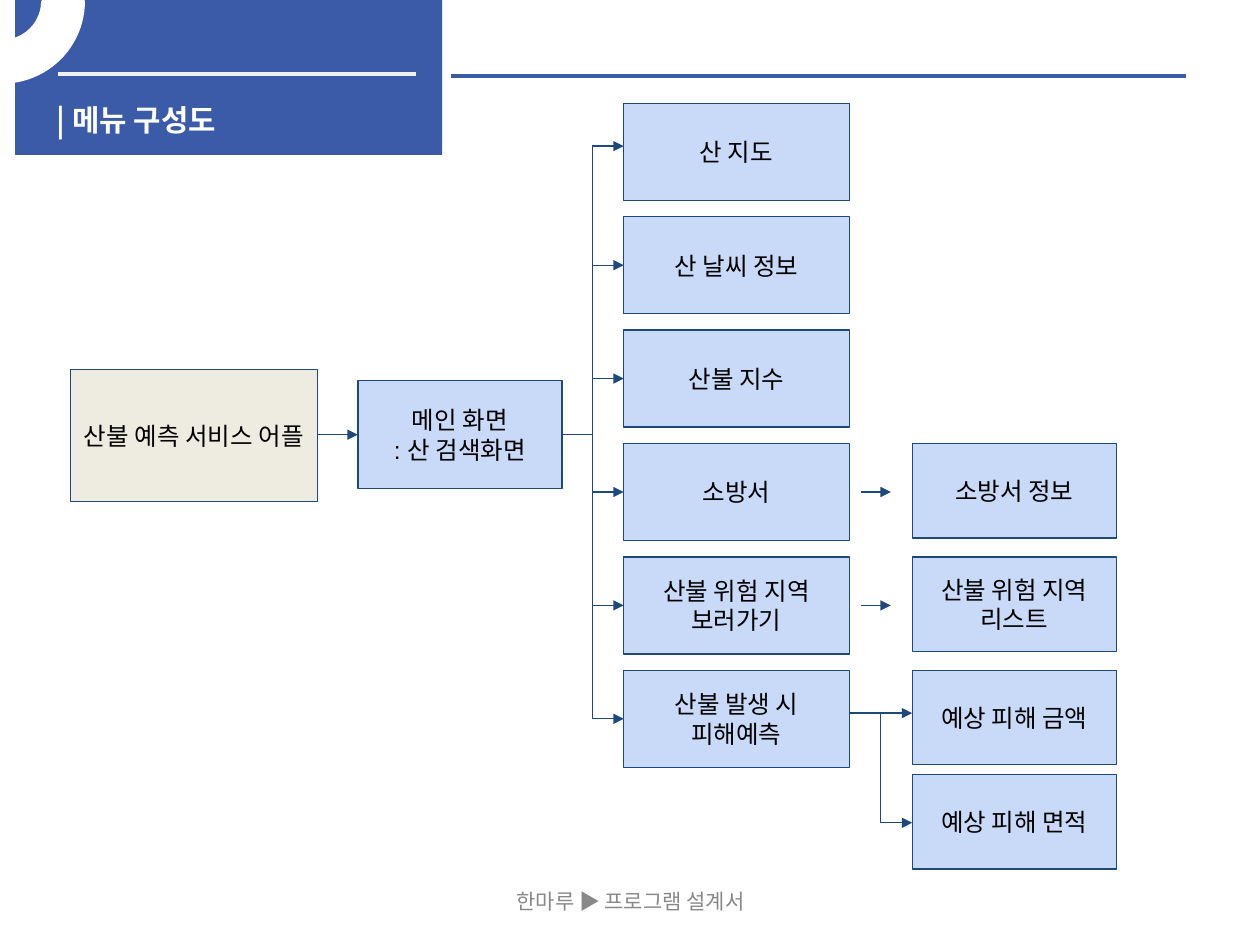
import pptx
import pptx.util
import pptx.dml.color
import pptx.enum.shapes
import pptx.enum.text
import pptx.oxml.ns
from lxml import etree

# Content
TITLE = "| 메뉴 구성도"
FOOTER = "한마루 ▶ 프로그램 설계서"
APP = ["산불 예측 서비스 어플"]
MAIN = ["메인 화면", ": 산 검색화면"]
MENUS = ["산 지도", "산 날씨 정보", "산불 지수", "소방서",
         "산불 위험 지역 보러가기", "산불 발생 시 피해예측"]
DETAILS = [("소방서 정보", 3), ("산불 위험 지역 리스트", 4),
           ("예상 피해 금액", 5), ("예상 피해 면적", 5.92)]

COLORS = {"brand": "3B5AA8", "rule": "F2F2F2", "white": "FFFFFF",
          "footer": "888888", "edge": "1F497D", "app": "EEECE1",
          "box": "C9DAF8", "text": "000000"}
LATIN, KOREAN = "Arial", "Noto Sans CJK KR"

# Grid in inches
WIDTH, HEIGHT = 10, 7.5
TOP, PITCH = 0.82, 0.9
MENU_X, MENU_W, MENU_H = 4.95, 1.79, 0.77
DETAIL_X, DETAIL_W, DETAIL_H = 7.24, 1.62, 0.75
AXIS_Y = 3.45
TRUNK_X, BRANCH_X = 4.7, 6.99

SHAPE = pptx.enum.shapes.MSO_SHAPE
ALIGN = pptx.enum.text.PP_ALIGN
ANCHOR = pptx.enum.text.MSO_ANCHOR
inch = pptx.util.Inches
qn = pptx.oxml.ns.qn

prs = pptx.Presentation()
prs.slide_width, prs.slide_height = inch(WIDTH), inch(HEIGHT)
s = prs.slides.add_slide(prs.slide_layouts[6])


def rgb(name):
    return pptx.dml.color.RGBColor.from_string(COLORS[name])


def write(sp, lines, size, color, font, align=ALIGN.CENTER,
          anchor=ANCHOR.MIDDLE, margin=0.1, bold=False):
    tf = sp.text_frame
    tf.word_wrap = True
    tf.vertical_anchor = anchor
    tf.margin_left = tf.margin_right = inch(0.1)
    tf.margin_top = tf.margin_bottom = inch(margin)
    tf.text = "\n".join(lines)
    for p in tf.paragraphs:
        p.alignment = align
        p.font.size = pptx.util.Pt(size)
        p.font.name = font
        p.font.bold = bold
        p.font.color.rgb = rgb(color)


def shape(kind, x, y, w, h, fill, edge=None, weight=0.75):
    sp = s.shapes.add_shape(kind, inch(x), inch(y), inch(w), inch(h))
    sp.shadow.inherit = False
    sp.fill.solid()
    sp.fill.fore_color.rgb = rgb(fill)
    if edge:
        sp.line.color.rgb = rgb(edge)
        sp.line.width = pptx.util.Pt(weight)
    else:
        sp.line.fill.background()
    return sp


def box(lines, x, y, w, h, fill="box"):
    write(shape(SHAPE.RECTANGLE, x, y, w, h, fill, "edge"),
          lines, 14, "text", LATIN)


def label(text, x, y, w, h, **style):
    sp = s.shapes.add_textbox(inch(x), inch(y), inch(w), inch(h))
    write(sp, [text], font=KOREAN, margin=0.05, **style)


def line(x1, y1, x2, y2, color="edge", weight=0.75, arrow=False):
    c = s.shapes.add_connector(pptx.enum.shapes.MSO_CONNECTOR.STRAIGHT,
                               inch(x1), inch(y1), inch(x2), inch(y2))
    c.line.color.rgb = rgb(color)
    c.line.width = pptx.util.Pt(weight)
    if arrow:
        etree.SubElement(c.line._get_or_add_ln(), qn("a:tailEnd"), type="triangle")
    etree.SubElement(c._element.spPr, qn("a:effectLst"))


def row_top(row):
    return TOP + row * PITCH


# Header and footer
shape(SHAPE.RECTANGLE, 0.12, 0, 3.39, 1.23, "brand")
line(0.46, 0.59, 3.3, 0.59, "rule", 2.25)
line(3.58, 0.6, 9.41, 0.6, "brand", 2.25)
label(TITLE, 0.35, 0.76, 3.07, 0.32, size=17, color="white", bold=True,
      align=ALIGN.LEFT, anchor=ANCHOR.TOP)
arc = shape(SHAPE.BLOCK_ARC, -0.63, -0.63, 1.29, 1.28, "white", "white", 2)
arc.rotation = 180
arc._element.spPr.find(qn("a:xfrm")).set("flipH", "1")
# Angles are counted in 60000ths of a degree, adjustments in 100000ths
arc.adjustments[0] = 161.59 * 0.6
arc.adjustments[1] = 0
arc.adjustments[2] = 0.25
label(FOOTER, 3.42, 6.95, 3.17, 0.4, size=12, color="footer")

# App and main screen
box(APP, 0.56, 2.93, 1.96, 1.05, "app")
box(MAIN, 2.84, 3.02, 1.62, 0.86)
line(2.52, AXIS_Y, 2.84, AXIS_Y, arrow=True)
line(4.46, AXIS_Y, TRUNK_X, AXIS_Y)

# Menus on the trunk
menu_mids = [row_top(row) + MENU_H / 2 for row in range(len(MENUS))]
menu_mids[0] = 1.16
for row, (text, mid) in enumerate(zip(MENUS, menu_mids)):
    box([text], MENU_X, row_top(row), MENU_W, MENU_H)
    line(TRUNK_X, mid, MENU_X, mid, arrow=True)
line(TRUNK_X, menu_mids[0], TRUNK_X, menu_mids[-1])

# Details
for text, row in DETAILS:
    box([text], DETAIL_X, row_top(row), DETAIL_W, DETAIL_H)
for mid in menu_mids[3:5]:
    line(6.83, mid, 7.07, mid, arrow=True)

# Damage forecast fork
cost_y, area_y = 5.66, 6.53
line(MENU_X + MENU_W, cost_y, BRANCH_X, cost_y)
line(BRANCH_X, cost_y, BRANCH_X, area_y)
for y in (cost_y, area_y):
    line(BRANCH_X, y, DETAIL_X, y, arrow=True)

prs.save("out.pptx")
